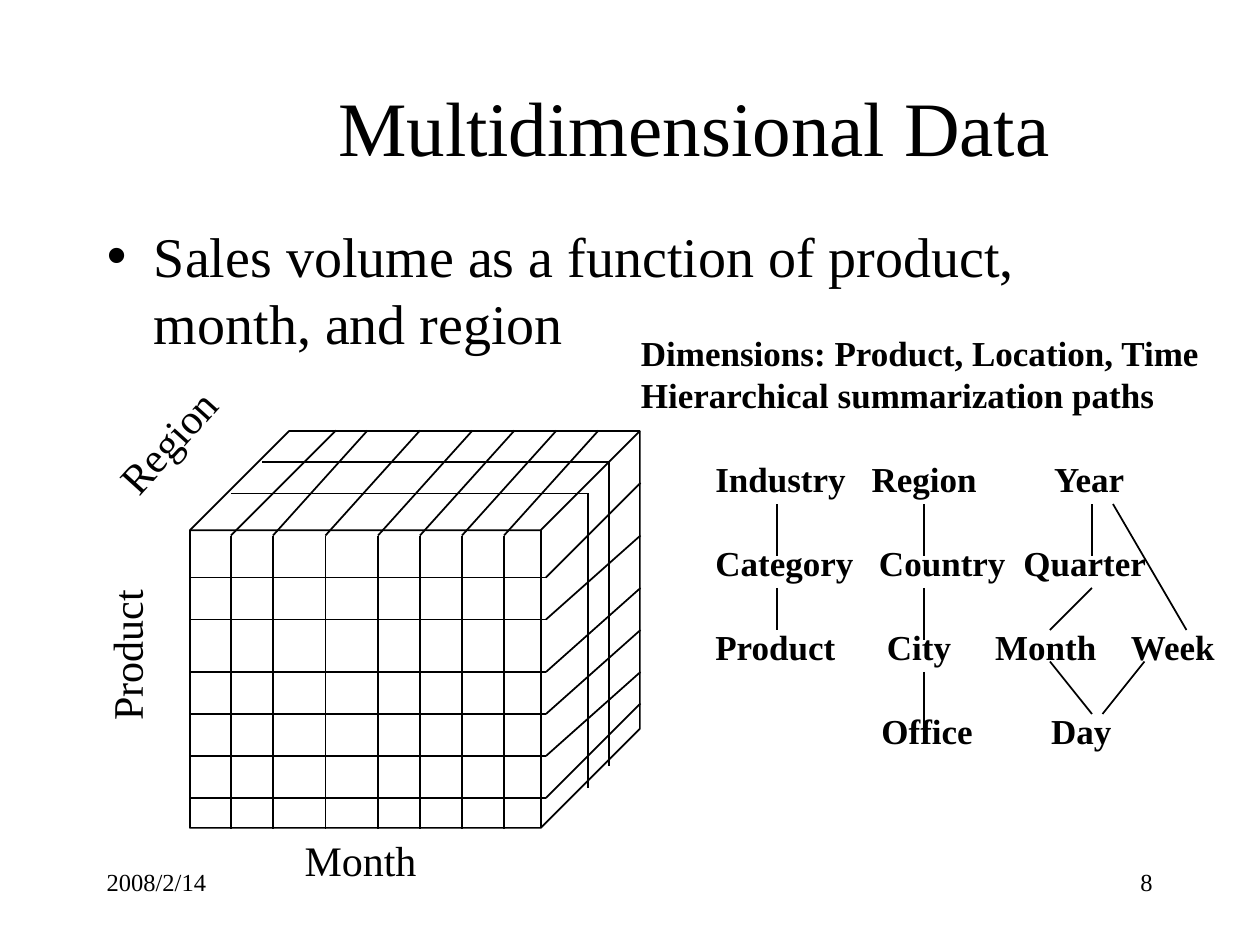
from dataclasses import dataclass

from lxml.etree import SubElement
from pptx import Presentation
from pptx.dml.color import RGBColor
from pptx.enum.shapes import MSO_CONNECTOR as Connector, MSO_SHAPE as Shape
from pptx.enum.text import MSO_ANCHOR as Anchor, MSO_AUTO_SIZE as AutoSize, PP_ALIGN as Align
from pptx.oxml.ns import qn
from pptx.util import Cm, Pt


@dataclass(frozen=True)
class Theme:
    font: str = "Times New Roman"
    ink: RGBColor = RGBColor(0, 0, 0)
    title: int = 44
    body: int = 32
    label: int = 24
    note: int = 20
    footer: int = 14
    leading: float = 1.2
    line: int = 1


GRID = Cm(2.54) / 12  # the drawing sits on twelfths of an inch

# Cube, in grid units
FRONT_LEFT, FRONT_RIGHT, FRONT_TOP, FRONT_BOTTOM = 18, 52, 51, 79
BACK_TOP, BACK_RIGHT = 41, 61
MONTHS = [(22, 32), (26, 35), (31, 40), (36, 45), (40, 49), (44, 53), (48, 57)]
PRODUCTS = [(55, 46), (59, 51), (64, 56), (68, 60), (72, 64), (76, 67)]
REGIONS = [(25, 58, 44, 73), (22, 56, 47, 75)]

# Each level of the hierarchies with its tab stops in cm
LEVELS = [
    ("Industry\tRegion\tYear", (3.15, 6.83)),
    ("Category\tCountry\tQuarter", (3.3, 6.21)),
    ("Product\tCity\tMonth\tWeek", (3.46, 5.64, 8.38)),
    ("\tOffice\tDay", (3.35, 6.77)),
]
LINKS = [
    (74, 48, 74, 53), (74, 56, 74, 60),
    (88, 48, 88, 53), (88, 56, 88, 61), (88, 64, 88, 69),
    (104, 48, 104, 53), (104, 56, 100, 60), (106, 48, 113, 60),
    (100, 63, 104, 68), (109, 63, 105, 68),
]


class SlideBuilder:
    def __init__(self, slide, theme):
        self.slide = slide
        self.theme = theme

    def style(self, para, size, bold=False, align=Align.LEFT):
        para.alignment = align
        para.space_before = Pt(0)
        para.font.name = self.theme.font
        para.font.size = Pt(size)
        para.font.bold = bold
        para.font.color.rgb = self.theme.ink

    def place(self, shape, frame):
        shape.left, shape.top, shape.width, shape.height = map(Cm, frame)
        shape.text_frame.auto_size = AutoSize.NONE

    def title(self, text, frame):
        box = self.slide.shapes.title
        self.place(box, frame)
        box.text_frame.vertical_anchor = Anchor.BOTTOM
        box.text_frame.text = text
        self.style(box.text_frame.paragraphs[0], self.theme.title, align=Align.CENTER)

    def bullet(self, text, frame):
        box = self.slide.placeholders[1]
        self.place(box, frame)
        box.text_frame.text = text
        para = box.text_frame.paragraphs[0]
        props = para._p.get_or_add_pPr()
        props.set("marL", str(Cm(0.95)))
        props.set("indent", str(-Cm(0.95)))
        SubElement(props, qn("a:buChar")).set("char", "•")
        self.style(para, self.theme.body)
        para.line_spacing = Pt(self.theme.body * self.theme.leading)

    def text(self, lines, frame, size, bold=False, align=Align.LEFT, rotation=0, wrap=True):
        box = self.slide.shapes.add_textbox(0, 0, 0, 0)
        self.place(box, frame)
        box.rotation = rotation
        box.text_frame.word_wrap = wrap
        box.text_frame.text = "\n".join(lines)
        for para in box.text_frame.paragraphs:
            self.style(para, size, bold, align)
        return box

    def note(self, lines, frame):
        box = self.text(lines, frame, self.theme.note, bold=True)
        for para in box.text_frame.paragraphs:
            para.line_spacing = Pt(self.theme.note * self.theme.leading)
        return box

    def levels(self, rows, frame):
        """Write one paragraph per level, a line apart, with its own tab stops."""
        box = self.note([text for text, _ in rows], frame)
        for index, (para, (_, stops)) in enumerate(zip(box.text_frame.paragraphs, rows)):
            if index:
                para.space_before = Pt(self.theme.note * self.theme.leading)
            props = para._p.get_or_add_pPr()
            tabs = props.makeelement(qn("a:tabLst"), {})
            for stop in stops:
                SubElement(tabs, qn("a:tab"), pos=str(Cm(stop)), algn="l")
            props.find(qn("a:defRPr")).addprevious(tabs)

    def outline(self, line):
        line.color.rgb = self.theme.ink
        line.width = Pt(self.theme.line)

    def cube(self, frame):
        cube = self.slide.shapes.add_shape(Shape.CUBE, *map(Cm, frame))
        cube.adjustments[0] = 0.25
        cube.shadow.inherit = False
        cube.fill.background()
        self.outline(cube.line)

    def line(self, *ends):
        """Draw a straight line; ends are x1, y1, x2, y2 in grid units."""
        points = [round(end * GRID) for end in ends]
        line = self.slide.shapes.add_connector(Connector.STRAIGHT, *points)
        self.outline(line.line)
        SubElement(line._element.spPr, qn("a:effectLst"))


def draw_cube(page):
    page.cube((3.83, 8.69, 9.07, 8))
    for front, back in PRODUCTS:
        page.line(FRONT_LEFT, front, FRONT_RIGHT, front)
        page.line(FRONT_RIGHT, front, BACK_RIGHT, back)
    for front, back in MONTHS:
        page.line(front, FRONT_TOP, front, FRONT_BOTTOM)
        page.line(front, FRONT_TOP, back, BACK_TOP)
    for left, right, top, bottom in REGIONS:
        page.line(left, top, right, top)
        page.line(right, top, right, bottom)


def main():
    deck = Presentation()
    deck.slide_width, deck.slide_height = Cm(25.4), Cm(19.05)
    theme = Theme()
    page = SlideBuilder(deck.slides.add_slide(deck.slide_layouts[1]), theme)

    page.title("Multidimensional Data", (3.18, 1.9, 21.64, 1.7))
    page.bullet("Sales volume as a function of product, month, and region",
                (1.9, 4.34, 22.23, 12.7))

    draw_cube(page)
    for text, frame, rotation in [
        ("Product", (0.97, 12.57, 3.15, 1.27), 270),
        ("Region", (1.9, 8.26, 2.95, 1.27), 312),
        ("Month", (5.89, 16.69, 2.77, 1.27), 0),
    ]:
        page.text([text], frame, theme.label, rotation=rotation, wrap=False)

    page.note(["Dimensions: Product, Location, Time", "Hierarchical summarization paths"],
              (12.67, 6.55, 12, 1.96))
    page.levels(LEVELS, (14.17, 9.09, 10.8, 6.2))
    for link in LINKS:
        page.line(*link)

    page.text(["8"], (18.21, 17.35, 5.28, 1.27), theme.footer, align=Align.RIGHT)
    page.text(["2008/2/14"], (1.9, 17.35, 5.28, 1.27), theme.footer)
    deck.save("out.pptx")


if __name__ == "__main__":
    main()
